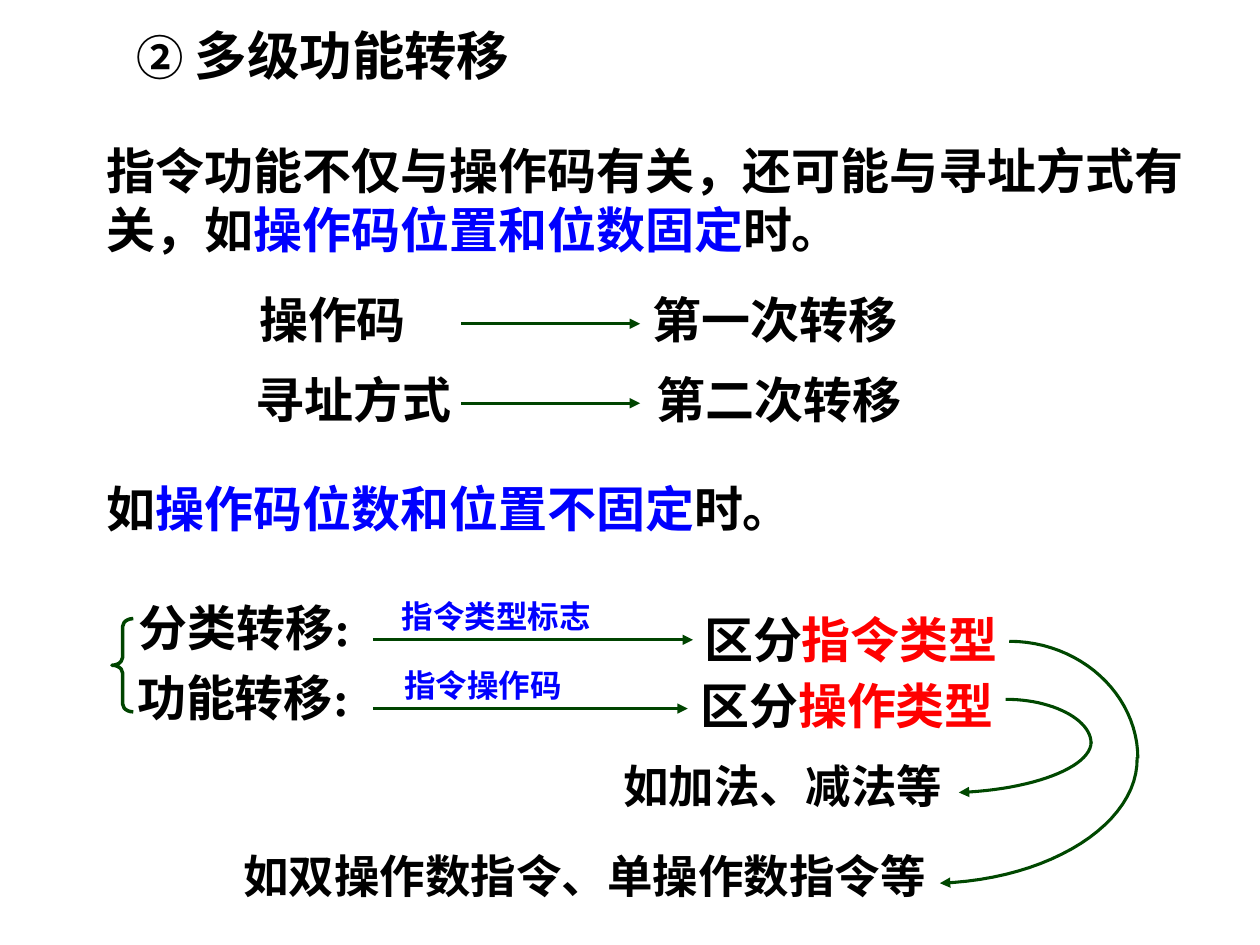
from lxml.etree import SubElement as Sub
from pptx import Presentation
from pptx.dml.color import RGBColor as Rgb
from pptx.enum.shapes import MSO_CONNECTOR as Conn, MSO_SHAPE as Form
from pptx.enum.text import MSO_ANCHOR as Anchor, MSO_AUTO_SIZE as Fit, PP_ALIGN as Align
from pptx.oxml.ns import qn
from pptx.util import Pt

BLACK = Rgb(0, 0, 0)
BLUE = Rgb(0, 0, 255)
RED = Rgb(255, 0, 0)
GREEN = Rgb(0, 0x44, 0)
MOSS = Rgb(0, 0x48, 0)


class Board:
    """Draws styled text, arrows, arcs and braces on one slide."""

    font = "Times New Roman"
    width = 1.75
    steps = 24

    def __init__(self, slide):
        self.slide = slide
        self.shapes = slide.shapes

    def fill(self, frame, runs, wrap=True):
        frame.word_wrap = wrap
        frame.auto_size = Fit.NONE
        frame.vertical_anchor = Anchor.TOP
        para = frame.paragraphs[0]
        para.alignment = Align.LEFT
        for text, size, color in runs:
            run = para.add_run()
            run.text = text
            font = run.font
            font.name, font.size, font.bold = self.font, Pt(size), True
            font.color.rgb = color

    def title(self, box, runs):
        shape = self.shapes.title
        shape.left, shape.top, shape.width, shape.height = map(Pt, box)
        self.fill(shape.text_frame, runs)

    def text(self, box, *parts, size=28, wrap=True):
        shape = self.shapes.add_textbox(*map(Pt, box))
        runs = [(text, size, color) for text, color in parts]
        self.fill(shape.text_frame, runs, wrap)

    def stroke(self, shape, color, width, head=False):
        shape.line.color.rgb = color
        shape.line.width = Pt(width)
        props = shape._element.spPr
        if head:
            Sub(props.find(qn("a:ln")), qn("a:tailEnd"), type="triangle")
        if props.find(qn("a:effectLst")) is None:
            Sub(props, qn("a:effectLst"))

    def arrow(self, left, right, y):
        line = self.shapes.add_connector(Conn.STRAIGHT, Pt(left), Pt(y), Pt(right), Pt(y))
        self.stroke(line, GREEN, self.width, head=True)

    def arc(self, *knots, head=False):
        points = []
        for step in range(self.steps + 1):
            t = step / self.steps
            u = 1 - t
            mix = (u ** 3, 3 * u * u * t, 3 * u * t * t, t ** 3)
            points.append(tuple(Pt(sum(m * k[axis] for m, k in zip(mix, knots)))
                                for axis in (0, 1)))
        pen = self.shapes.build_freeform(*points[0], scale=1.0)
        pen.add_line_segments(points[1:], close=False)
        shape = pen.convert_to_shape()
        shape.shadow.inherit = False
        shape.fill.background()
        self.stroke(shape, MOSS, self.width, head)

    def brace(self, box, bend):
        shape = self.shapes.add_shape(Form.LEFT_BRACE, *map(Pt, box))
        shape.shadow.inherit = False
        shape.adjustments[0] = bend
        shape.fill.background()
        self.stroke(shape, GREEN, 2)


def main():
    deck = Presentation()
    deck.slide_width, deck.slide_height = Pt(720), Pt(540)
    board = Board(deck.slides.add_slide(deck.slide_layouts[5]))

    board.title((70.6, 9.4, 425.5, 43.2),
                [("②", 27, BLACK), (" ", 28, BLACK), ("多级功能转移", 30, BLACK)])
    board.text((54, 77, 630, 75), ("指令功能不仅与操作码有关，还可能与寻址方式有关，如", BLACK),
               ("操作码位置和位数固定", BLUE), ("时。", BLACK))

    for y, left, name, right, turn in (
            (162, 141, "操作码", 365.8, "第一次转移"),
            (207.4, 139, "寻址方式", 368, "第二次转移")):
        board.text((left, y, 128, 41), (name, BLACK), wrap=False)
        board.arrow(263.5, 365.8, y + 23)
        board.text((right, y, 156, 41), (turn, BLACK), wrap=False)

    board.text((54, 270, 630, 41), ("如", BLACK),
               ("操作码位数和位置不固定", BLUE), ("时。", BLACK))

    board.brace((64, 353.5, 12.2, 53.3), 0.37)
    for left, top, name, mark, x, y, end, goal, low, kind in (
            (72, 337.7, "分类转移:", "指令类型标志", 222.5, 337.7, 396, 395.3, 344.9, "指令类型"),
            (71.3, 378, "功能转移:", "指令操作码", 223.9, 377, 393, 393.1, 382.3, "操作类型")):
        board.text((left, top, 185, 41), (name, BLACK))
        board.text((x, y, 177, 28.8), (mark, BLUE), size=18)
        board.arrow(213.1, end, y + 27.9)
        board.text((goal, low, 221, 41), ("区分", BLACK), (kind, RED))

    board.text((349.2, 429.8, 213.8, 38.2), ("如加法、减法等", BLACK), size=26)
    board.text((131.8, 481, 432.7, 38.2), ("如双操作数指令、单操作数指令等", BLACK), size=26)

    board.arc((576.7, 366.5), (617, 366.5), (650.2, 396.7), (650.2, 433.4))
    board.arc((649.8, 432.7), (650.9, 470.2), (600.5, 502.6), (537.1, 504.7), head=True)
    board.arc((574.6, 399.6), (601.2, 399.6), (623.5, 411.1), (623.5, 424.8))
    board.arc((623.5, 424.1), (623.5, 438.5), (589.7, 451.4), (547.9, 452.9), head=True)
    deck.save("out.pptx")


if __name__ == "__main__":
    main()
